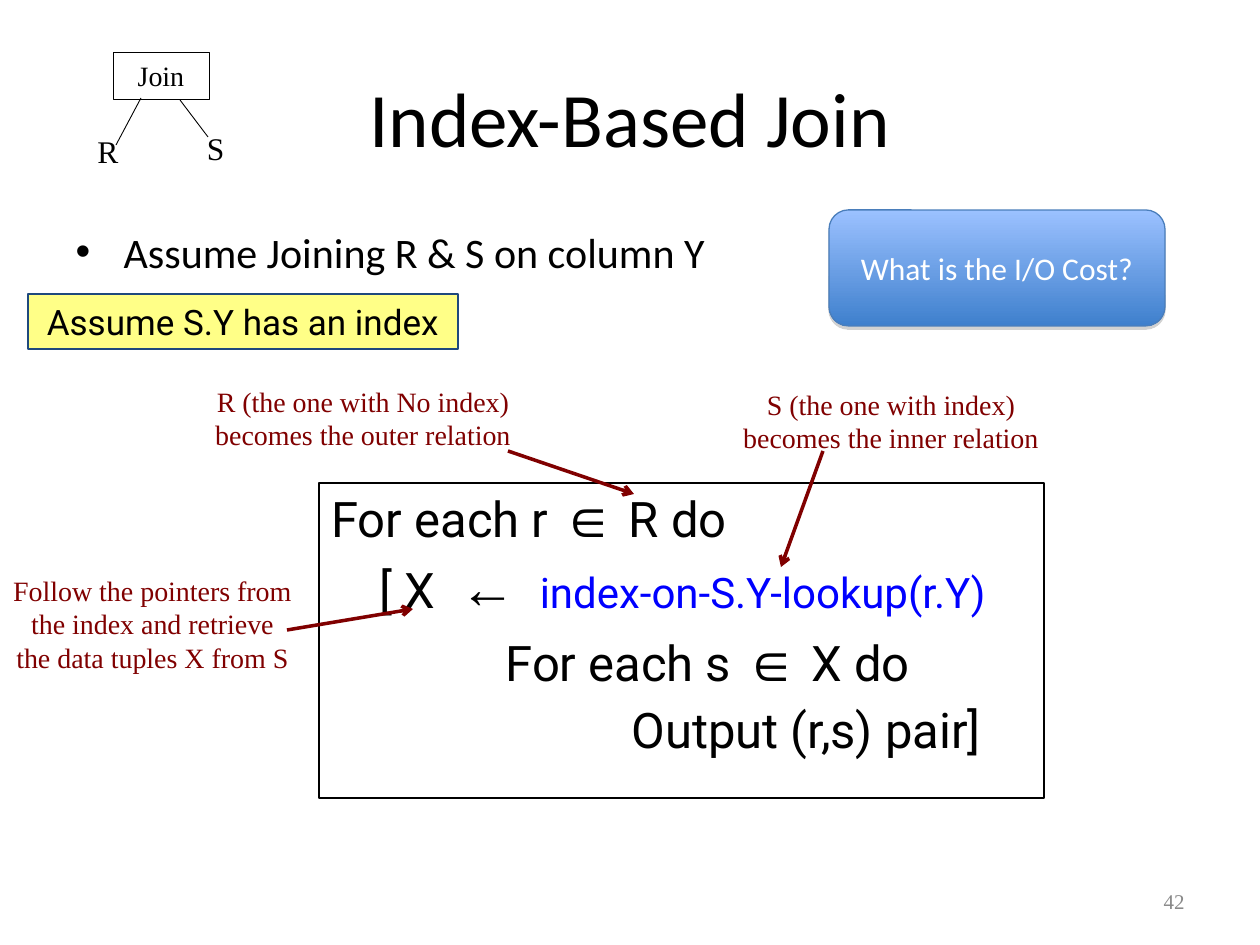
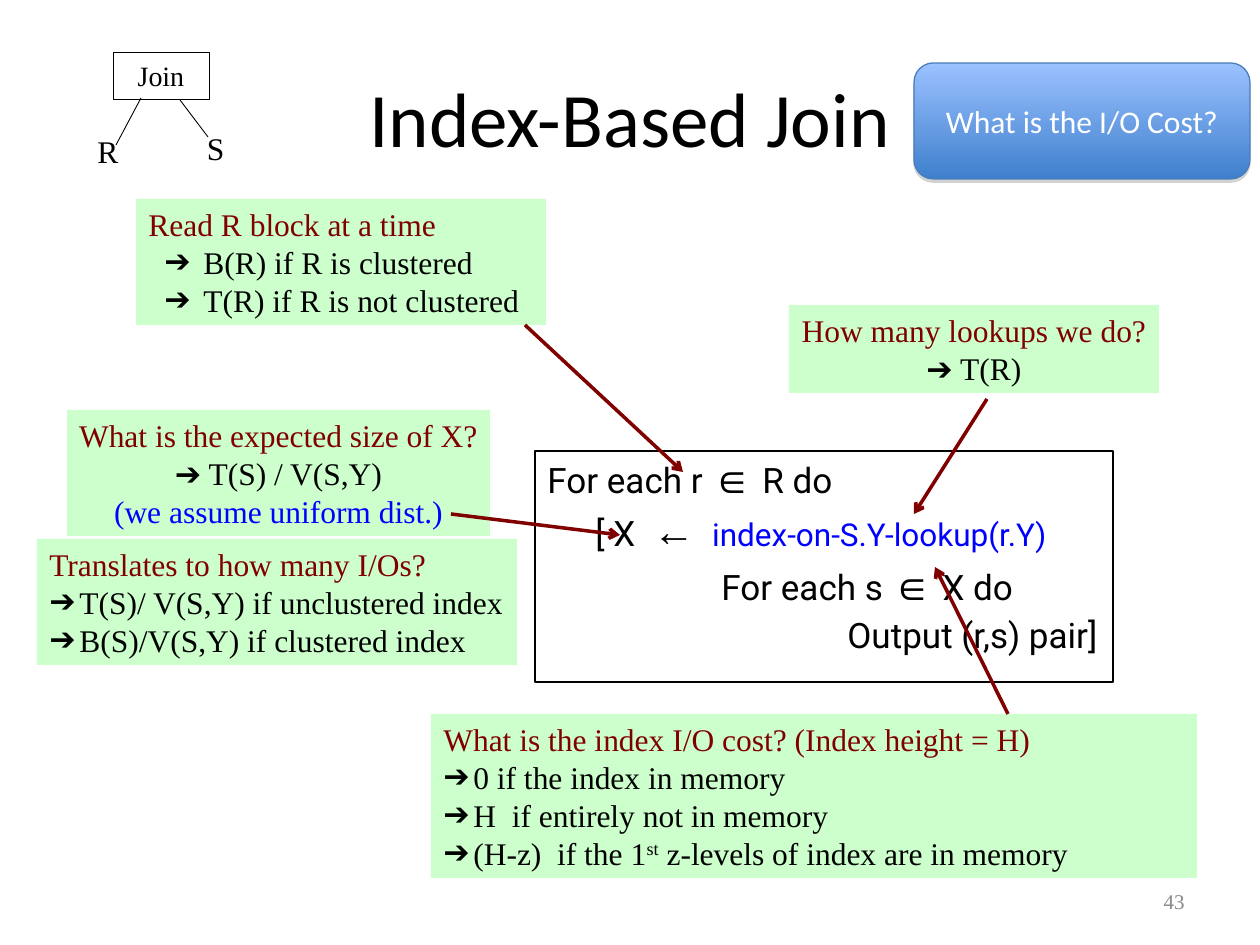
from dataclasses import dataclass

from lxml import etree
from pptx import Presentation
from pptx import util as u
from pptx.dml.color import RGBColor
from pptx.enum import shapes, text
from pptx.oxml import ns

SCALE = 914400 / 126  # EMU in one px


@dataclass(frozen=True)
class Theme:
    black: str = "000000"
    white: str = "FFFFFF"
    maroon: str = "800000"
    blue: str = "0000FF"
    grey: str = "898989"
    green: str = "CCFFCC"
    yellow: str = "FFFF00"
    navy: str = "1F497D"
    edge: str = "4A7EBB"
    glow: tuple = ("9BC1FF", "3F80CD")
    shade: str = "808080"
    sans: str = "Calibri"
    serif: str = "Times New Roman"
    code: str = "Roboto"
    sign: str = "Arial"
    title: int = 44
    list: int = 24
    label: int = 20
    note: int = 18
    hint: int = 16
    page: int = 12


T = Theme()
CENTER = text.PP_ALIGN.CENTER
MIDDLE = text.MSO_ANCHOR.MIDDLE
RECT = shapes.MSO_SHAPE.RECTANGLE
ROUND = shapes.MSO_SHAPE.ROUNDED_RECTANGLE


@dataclass
class Para:
    """One paragraph: runs are (words, changed format) pairs."""
    runs: list
    align: object = None
    left: int = 0
    hang: int = 0
    mark: str = ""
    gap: float = 0
    lead: float = 1.0


def px(*sizes):
    return [u.Emu(round(size * SCALE)) for size in sizes]


def rgb(code):
    return RGBColor.from_string(code)


def add(parent, tag, **attrs):
    return etree.SubElement(parent, ns.qn(tag), attrs)


def line(words, align=None, **style):
    return Para([(words, style)], align)


def style_run(run, size, face, color, base=0):
    look = {"size": u.Pt(size), "name": face}
    for key, value in look.items():
        setattr(run.font, key, value)
    run.font.color.rgb = rgb(color)
    if base:
        run.font._element.set("baseline", str(base * 1000))


def write(frame, paras, style):
    for i, item in enumerate(paras):
        para = frame.paragraphs[0] if i == 0 else frame.add_paragraph()
        props = para._p.get_or_add_pPr()
        if item.left:
            left, hang = px(item.left, item.hang)
            props.set("marL", str(left))
            props.set("indent", str(-hang))
        if item.mark:
            add(add(props, "a:buClr"), "a:srgbClr", val=T.black)
            add(props, "a:buFont", typeface=T.sign)
            add(props, "a:buChar", char=item.mark)
        look = {"alignment": item.align, "line_spacing": item.lead,
                "space_before": u.Pt(item.gap if i else 0)}
        for key, value in look.items():
            setattr(para, key, value)
        for words, change in item.runs:
            run = para.add_run()
            run.text = words
            style_run(run, **{**style, **change})


def fill_holder(holder, at, para, style):
    for key, value in zip(("left", "top", "width", "height"), px(*at)):
        setattr(holder, key, value)
    holder.text_frame.auto_size = text.MSO_AUTO_SIZE.NONE
    write(holder.text_frame, [para], style)


def label(slide, at, paras, size, face=T.serif, color=T.black,
          wrap=False, anchor=text.MSO_ANCHOR.TOP):
    box = slide.shapes.add_textbox(*px(*at))
    look = {"word_wrap": wrap, "vertical_anchor": anchor}
    for key, value in look.items():
        setattr(box.text_frame, key, value)
    write(box.text_frame, paras, dict(size=size, face=face, color=color))


def panel(slide, at, paras, size, face=T.serif, color=T.black, kind=RECT,
          fill=None, edge=None, width=0.75, wrap=True,
          anchor=text.MSO_ANCHOR.TOP):
    """Add a preset shape with text."""
    shape = slide.shapes.add_shape(kind, *px(*at))
    shape.shadow.inherit = False
    if fill:
        shape.fill.solid()
        shape.fill.fore_color.rgb = rgb(fill)
    else:
        shape.fill.background()
    if edge:
        shape.line.color.rgb = rgb(edge)
        shape.line.width = u.Pt(width)
    else:
        shape.line.fill.background()
    look = {"word_wrap": wrap, "vertical_anchor": anchor}
    for key, value in look.items():
        setattr(shape.text_frame, key, value)
    for para in paras:
        para.align = para.align or text.PP_ALIGN.LEFT
    write(shape.text_frame, paras, dict(size=size, face=face, color=color))
    return shape


def link(slide, ends, color=T.black, width=0.5, head=False):
    wire = slide.shapes.add_connector(
        shapes.MSO_CONNECTOR.STRAIGHT, *px(*ends))
    wire.line.color.rgb = rgb(color)
    wire.line.width = u.Pt(width)
    props = wire._element.spPr
    if head:
        add(props.get_or_add_ln(), "a:tailEnd", type="arrow")
    add(props, "a:effectLst")


def arrow(slide, *ends):
    link(slide, ends, T.maroon, 2, True)


def join_tree(slide):
    panel(slide, (113, 52, 96, 47), [line("Join", CENTER)], T.hint,
          edge=T.black, width=0.25)
    link(slide, (141, 98, 116, 145))
    link(slide, (180, 100, 208, 137))
    label(slide, (85, 126, 45, 50), [line("R", CENTER)], T.note)
    label(slide, (194, 123, 43, 50), [line("S", CENTER)], T.note)


def cost_button(slide, left, top):
    shape = panel(slide, (left, top, 336, 116),
                  [line("What is the I/O Cost?", CENTER)], T.note, T.sans,
                  T.white, ROUND, edge=T.edge, anchor=MIDDLE)
    shape.fill.gradient()
    shape.fill.gradient_angle = 270
    for stop, color in zip(shape.fill.gradient_stops, T.glow):
        stop.color.rgb = rgb(color)
    effects = shape._element.spPr.find(ns.qn("a:effectLst"))
    shadow = add(effects, "a:outerShdw", blurRad="0", dist=str(u.Pt(1.8)),
                 dir="5400000", rotWithShape="0")
    add(add(shadow, "a:srgbClr", val=T.shade), "a:alpha", val="35000")


def code_box(slide, at, size, big, small):
    """Add the join loop; big sizes the signs, small the lookup call."""
    sign = dict(size=big, face=T.sign)
    call = dict(size=small, color=T.blue)
    rows = [
        (48, 48, size, [("For each r ", {}), ("∈", sign), (" R do", {})]),
        (48, 0, small, [("[ X  ", {}), ("←", sign), ("  ", {}),
                        ("index-on-S.Y-lookup(r.Y)", call)]),
        (174, 0, size, [("For each s ", {}), ("∈", sign), (" X do", {})]),
        (300, 0, size, [("Output (r,s) pair]", {})]),
    ]
    paras = [Para(runs, left=left, hang=hang, gap=rule / 4, lead=0.9)
             for left, hang, rule, runs in rows]
    panel(slide, at, paras, size, T.code, edge=T.black)


def asked(words, align=None):
    return line(words, align, color=T.maroon)


def answer(words):
    return Para([("➔", dict(face=T.sign)), (" " + words, {})], CENTER)


def item(*runs, left=30, hang=30):
    return Para([run if isinstance(run, tuple) else (run, {})
                 for run in runs], left=left, hang=hang, mark="➔")


def note(slide, at, paras, wrap=True):
    panel(slide, at, paras, T.note, fill=T.green, wrap=wrap)


def start(deck, layout, page):
    slide = deck.slides.add_slide(deck.slide_layouts[layout])
    fill_holder(slide.shapes.title, (63, 38, 1134, 158),
                line("Index-Based Join", CENTER),
                dict(size=T.title, face=T.sans, color=T.black))
    label(slide, (903, 876, 294, 50), [line(page, text.PP_ALIGN.RIGHT)],
          T.page, color=T.grey, wrap=True, anchor=MIDDLE)
    join_tree(slide)
    return slide


def roles(deck):
    slide = start(deck, 1, "42")
    fill_holder(slide.placeholders[1], (63, 220, 703, 84),
                Para([("Assume Joining R & S on column Y", {})],
                     left=48, hang=48, mark="•"),
                dict(size=T.list, face=T.sans, color=T.black))
    code_box(slide, (319, 483, 725, 315), 28, 32, 24)
    index = panel(slide, (28, 294, 430, 55),
                  [line("Assume S.Y has an index", CENTER)], T.label, T.code,
                  fill=T.yellow, edge=T.navy, wrap=False, anchor=MIDDLE)
    tint = index._element.spPr.find(ns.qn("a:solidFill"))[0]
    add(tint, "a:alpha", val="47000")

    hints = [
        ((193, 378, 340, 81), (508, 451, 634, 494), False,
         ["R (the one with No index)", "becomes the outer relation"]),
        ((721, 381, 340, 81), (823, 451, 781, 567), False,
         ["S (the one with index)", "becomes the inner relation"]),
        ((0, 567, 305, 113), (287, 630, 413, 609), True,
         ["Follow the pointers from the index and retrieve "
          "the data tuples X from S"]),
    ]
    for at, ends, wrap, rows in hints:
        arrow(slide, *ends)
        label(slide, at, [line(row, CENTER) for row in rows], T.hint,
              color=T.maroon, wrap=wrap)
    cost_button(slide, 829, 210)


def costs(deck):
    slide = start(deck, 5, "43")
    code_box(slide, (535, 451, 578, 231), 20, 24, 18)
    cost_button(slide, 914, 63)

    note(slide, (136, 199, 410, 126), [
        asked("Read R block at a time"),
        item("B(R) if R is clustered", left=55, hang=39),
        item("T(R) if R is not clustered", left=55, hang=39)])
    arrow(slide, 525, 325, 683, 472)

    note(slide, (67, 410, 423, 126), [
        asked("What is the expected size of X?", CENTER),
        answer("T(S) / V(S,Y)"),
        line("(we assume uniform dist.)", CENTER, color=T.blue)], False)
    arrow(slide, 451, 514, 620, 535)

    note(slide, (789, 305, 370, 88), [
        asked("How many lookups we do?", CENTER), answer("T(R)")], False)
    arrow(slide, 987, 399, 914, 514)

    note(slide, (431, 714, 766, 164), [
        asked("What is the index I/O cost? (Index height = H)"),
        item("0 if the index in memory"),
        item("H  if entirely not in memory"),
        item("(H-z)  if the 1", ("st", dict(base=30)),
             " z-levels of index are in memory")])
    arrow(slide, 1008, 714, 935, 567)

    note(slide, (37, 539, 480, 126), [
        asked("Translates to how many I/Os?"),
        item("T(S)/ V(S,Y) if unclustered index"),
        item("B(S)/V(S,Y) if clustered index")], False)


def main():
    deck = Presentation()
    deck.slide_width, deck.slide_height = px(1260, 945)
    roles(deck)
    costs(deck)
    deck.save("out.pptx")


if __name__ == "__main__":
    main()
